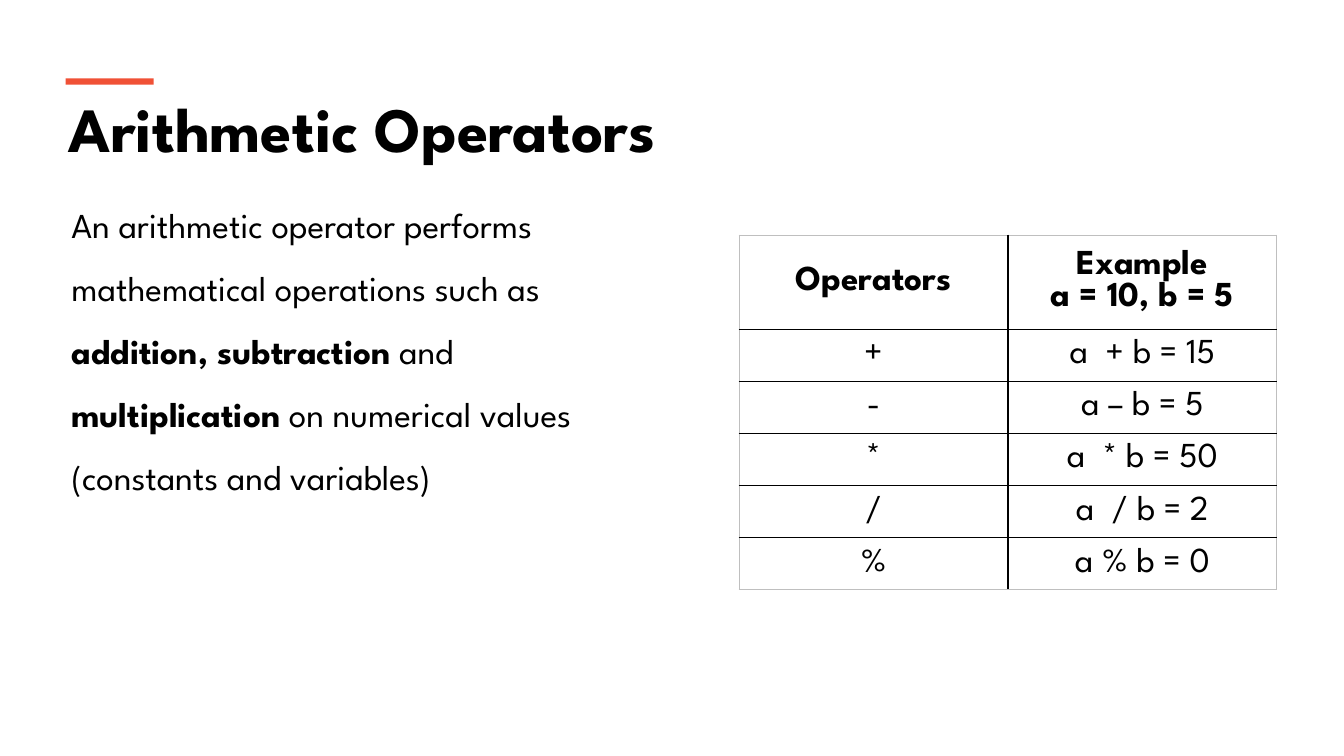
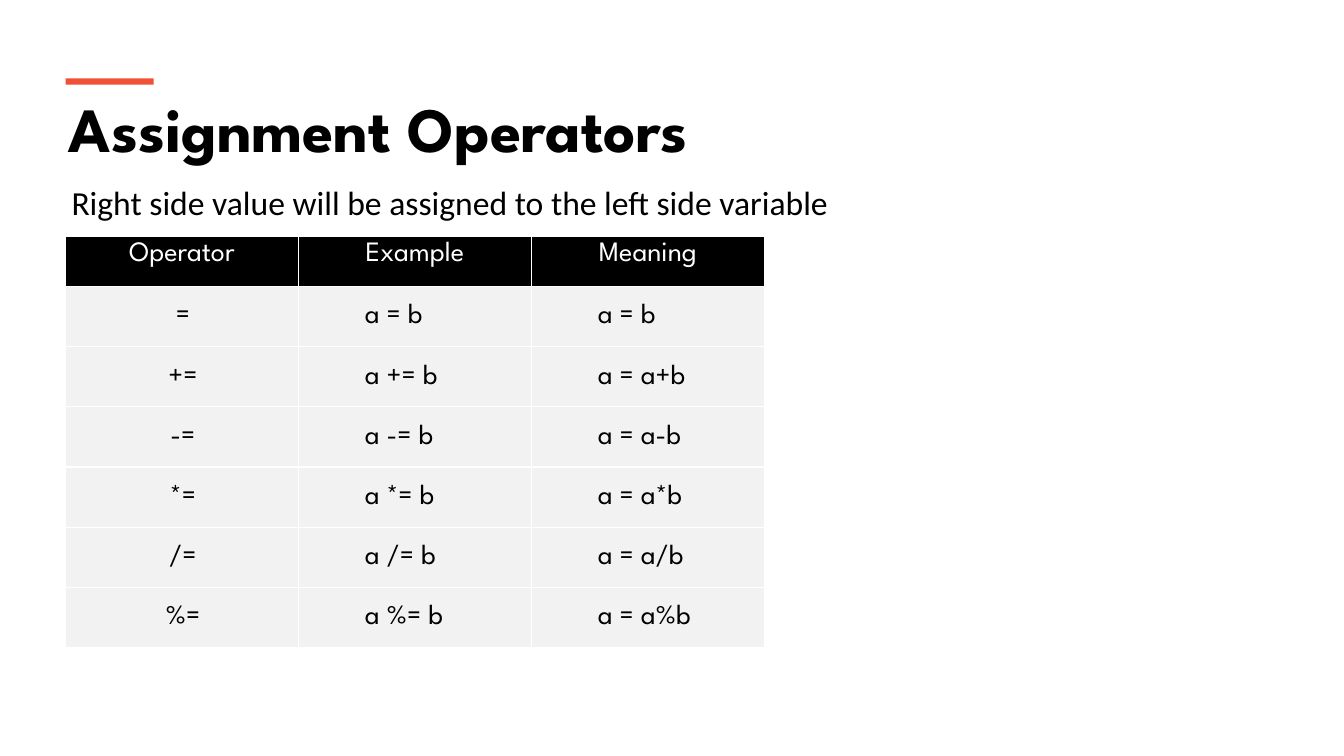
from lxml.etree import SubElement
from pptx import Presentation
from pptx.dml.color import RGBColor
from pptx.enum.shapes import MSO_SHAPE
from pptx.enum.text import MSO_ANCHOR, MSO_AUTO_SIZE, PP_ALIGN
from pptx.oxml.ns import qn
from pptx.util import Pt

BLACK = RGBColor(0x00, 0x00, 0x00)
WHITE = RGBColor(0xFF, 0xFF, 0xFF)
ORANGE = RGBColor(0xF0, 0x51, 0x36)
PALE = RGBColor(0xF2, 0xF2, 0xF2)
GREY = RGBColor(0xBF, 0xBF, 0xBF)
FONT = "League Spartan"


def write(tf, text, size, font=FONT, color=BLACK, bold=False,
          align=PP_ALIGN.LEFT, spacing=None):
    """Fill a text frame: one paragraph a line, ** around words toggles bold."""
    for i, line in enumerate(text.split("\n")):
        p = tf.add_paragraph() if i else tf.paragraphs[0]
        p.alignment = align
        if spacing:
            p.line_spacing = spacing
        for j, part in enumerate(line.split("**")):
            r = p.add_run()
            r.text = part
            r.font.name, r.font.size = font, Pt(size)
            r.font.bold = bold or j % 2 == 1
            r.font.color.rgb = color


def set_borders(cell, colors):
    """Draw the left, right, top and bottom borders of a cell, 1 pt wide."""
    tcPr = cell._tc.get_or_add_tcPr()
    for i, (side, color) in enumerate(zip("LRTB", colors)):
        ln = SubElement(tcPr, qn("a:ln" + side), w=str(Pt(1)))
        fill = SubElement(ln, qn("a:solidFill"))
        SubElement(fill, qn("a:srgbClr"), val=str(color))
        tcPr.insert(i, ln)


class Deck:
    """Shared style and the current slide."""

    def __init__(self):
        self.prs = Presentation()
        self.prs.slide_width, self.prs.slide_height = Pt(960), Pt(540)
        self.s = None

    def add_slide(self, title):
        self.s = self.prs.slides.add_slide(self.prs.slide_layouts[5])
        sp = self.s.shapes.title
        sp.left, sp.top, sp.width, sp.height = Pt(41.8), Pt(60.5), Pt(888), Pt(62)
        tf = sp.text_frame
        tf.vertical_anchor = MSO_ANCHOR.TOP
        tf.auto_size = MSO_AUTO_SIZE.SHAPE_TO_FIT_TEXT
        write(tf, title, 45, bold=True)
        # Accent bar above the title
        bar = self.s.shapes.add_shape(MSO_SHAPE.RECTANGLE, Pt(46.8), Pt(56), Pt(63), Pt(4.5))
        bar.shadow.inherit = False
        bar.fill.solid()
        bar.fill.fore_color.rgb = ORANGE
        bar.line.fill.background()

    def add_text(self, text, width, height, **fmt):
        sp = self.s.shapes.add_textbox(Pt(44), Pt(126.7), Pt(width), Pt(height))
        sp.text_frame.word_wrap = True
        write(sp.text_frame, text, **fmt)

    def add_table(self, rows, left, top, col_width, head_height, row_height,
                  inner, outer, style):
        """style(row, col, cell) returns the text format of a cell."""
        n, m = len(rows), len(rows[0])
        heights = [head_height] + [row_height] * (n - 1)
        table = self.s.shapes.add_table(
            n, m, Pt(left), Pt(top), Pt(col_width * m), Pt(sum(heights))).table
        table.horz_banding = False
        for col in table.columns:
            col.width = Pt(col_width)
        for i, row in enumerate(rows):
            table.rows[i].height = Pt(heights[i])
            for j, text in enumerate(row):
                cell = table.cell(i, j)
                write(cell.text_frame, text, **style(i, j, cell))
                edges = (j == 0, j == m - 1, i == 0, i == n - 1)
                set_borders(cell, [outer if edge else inner for edge in edges])


def plain_style(row, col, cell):
    cell.fill.background()
    cell.vertical_anchor = MSO_ANCHOR.MIDDLE
    return dict(size=25, bold=row == 0, align=PP_ALIGN.CENTER)


def filled_style(row, col, cell):
    head = row == 0
    cell.fill.solid()
    cell.fill.fore_color.rgb = BLACK if head else PALE
    if not head:
        cell.vertical_anchor = MSO_ANCHOR.MIDDLE
        cell.margin_top, cell.margin_right, cell.margin_bottom = Pt(7.2), Pt(5.8), Pt(6.5)
        if col:
            cell.margin_left = Pt(47.5)
    centred = head or col == 0
    return dict(size=20, color=WHITE if head else BLACK,
                align=PP_ALIGN.CENTER if centred else PP_ALIGN.LEFT)


def main():
    deck = Deck()

    # Arithmetic operators
    deck.add_slide("Arithmetic Operators")
    deck.add_text("An arithmetic operator performs mathematical operations such as "
                  "**addition, subtraction** and **multiplication** on numerical "
                  "values (constants and variables)", 435, 230, size=25, spacing=1.5)
    arithmetic = [("Operators", "Example\na = 10, b = 5"),
                  ("+", "a  + b = 15"), ("-", "a – b = 5"), ("*", "a  * b = 50"),
                  ("/", "a  / b = 2"), ("%", "a % b = 0")]
    deck.add_table(arithmetic, 528, 168, 192, 67, 37.2,
                   inner=BLACK, outer=GREY, style=plain_style)

    # Assignment operators
    deck.add_slide("Assignment Operators")
    deck.add_text("Right side value will be assigned to the left side variable",
                  874, 67, size=24, font="Calibri")
    assignment = [("Operator", "Example", "Meaning"), ("=", "a = b", "a = b")]
    assignment += [(f"{op}=", f"a {op}= b", f"a = a{op}b") for op in "+-*/%"]
    deck.add_table(assignment, 46.8, 169.2, 166.4, 35.5, 43,
                   inner=WHITE, outer=WHITE, style=filled_style)

    deck.prs.save("out.pptx")


if __name__ == "__main__":
    main()
